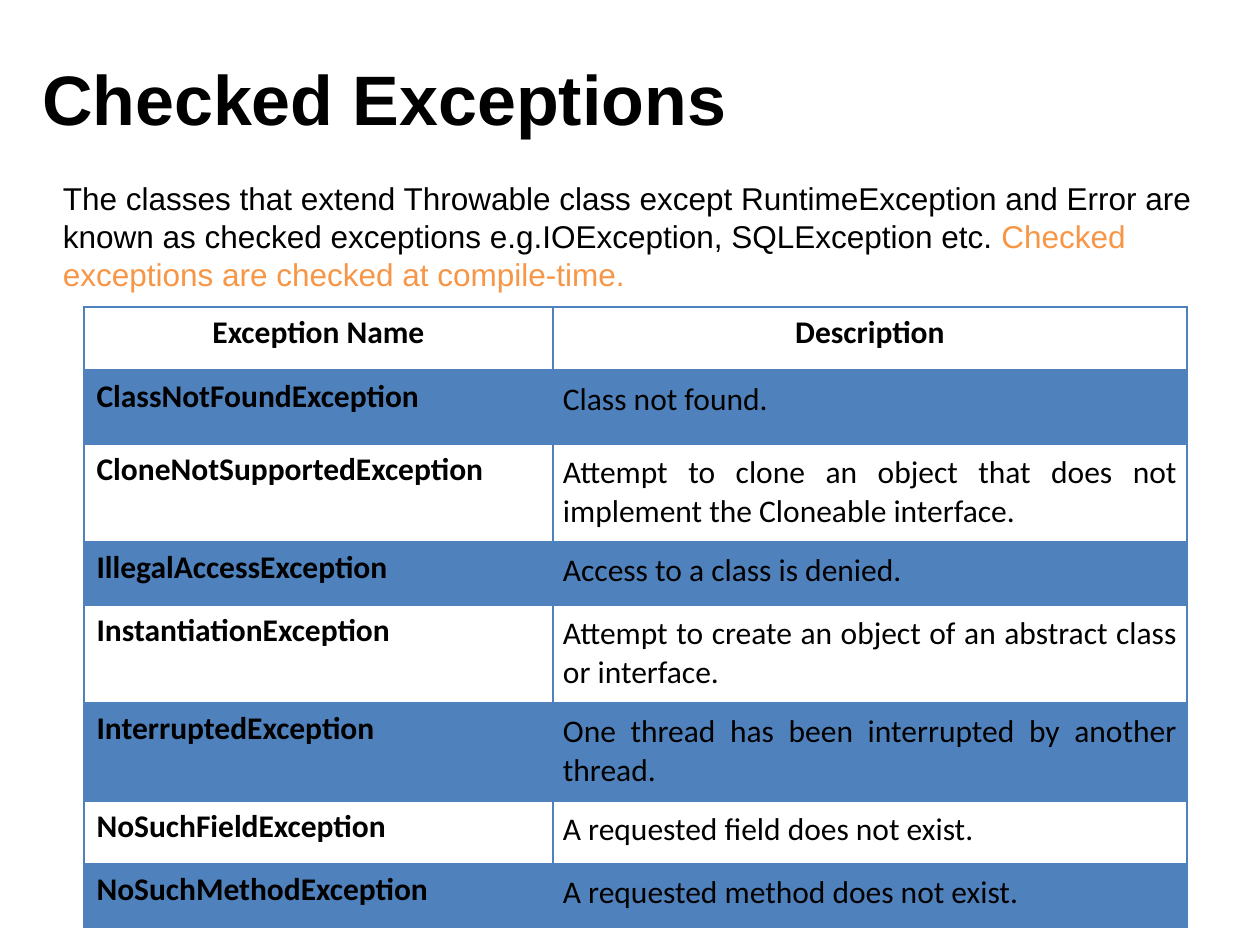
import lxml.etree
import pptx
import pptx.dml.color
import pptx.enum.text
import pptx.oxml.ns
import pptx.util
from dataclasses import dataclass

TITLE = "Checked Exceptions"
INTRO = [
    ("The classes that extend Throwable class except RuntimeException and Error are "
     "known as checked exceptions e.g.IOException, SQLException etc. ", "ink"),
    ("Checked exceptions are checked at compile-time.", "accent"),
]
HEADINGS = ("Exception Name", "Description")
EXCEPTIONS = [
    ("ClassNotFoundException", "Class not found.", 73),
    ("CloneNotSupportedException",
     "Attempt to clone an object that does not implement the Cloneable interface.", 98),
    ("IllegalAccessException", "Access to a class is denied.", 63),
    ("InstantiationException",
     "Attempt to create an object of an abstract class or interface.", 98),
    ("InterruptedException", "One thread has been interrupted by another thread.", 98),
    ("NoSuchFieldException", "A requested field does not exist.", 63),
    ("NoSuchMethodException", "A requested method does not exist.", 63),
]
HEADING_HEIGHT = 64
COLUMN_WIDTHS = (469, 634)
DESCRIPTION_MARGIN = 10


@dataclass(frozen=True)
class Theme:
    ink: str = "000000"
    accent: str = "F79646"
    grid: str = "4F81BD"
    band_alpha: int = 20
    heading_font: str = "Arial"
    table_font: str = "Calibri"
    title_size: int = 40
    text_size: int = 18


THEME = Theme()
ALIGN = pptx.enum.text.PP_ALIGN


def px(length):
    return pptx.util.Emu(round(length * 914400 / 126))


def rgb(colour):
    return pptx.dml.color.RGBColor.from_string(colour)


def style(font, name, size, bold=False):
    font.name, font.size, font.bold = name, pptx.util.Pt(size), bold
    font.color.rgb = rgb(THEME.ink)


def clear_margins(frame):
    frame.margin_left = frame.margin_right = frame.margin_top = frame.margin_bottom = 0
    frame.word_wrap = True


def add_child(parent, tag, **attributes):
    return lxml.etree.SubElement(parent, pptx.oxml.ns.qn(tag), **attributes)


def draw_borders(cell, points):
    properties = cell._tc.get_or_add_tcPr()
    for side, width in points.items():
        line = add_child(properties, "a:ln" + side, w=str(pptx.util.Pt(width)))
        add_child(add_child(line, "a:solidFill"), "a:srgbClr", val=THEME.grid)


def fill_cell(cell, banded):
    if not banded:
        cell.fill.background()
        return
    cell.fill.solid()
    cell.fill.fore_color.rgb = rgb(THEME.grid)
    colour = cell._tc.tcPr.find(".//" + pptx.oxml.ns.qn("a:srgbClr"))
    add_child(colour, "a:alpha", val=str(THEME.band_alpha * 1000))


def add_title(slide):
    title = slide.shapes.title
    title.left, title.top, title.width, title.height = map(px, (42, 55, 1177, 84))
    clear_margins(title.text_frame)
    title.text_frame.text = TITLE
    paragraph = title.text_frame.paragraphs[0]
    paragraph.alignment = ALIGN.LEFT
    style(paragraph.font, THEME.heading_font, THEME.title_size, True)


def add_intro(slide):
    intro = slide.shapes.add_textbox(*map(px, (63, 179, 1148, 115))).text_frame
    clear_margins(intro)
    paragraph = intro.paragraphs[0]
    style(paragraph.font, THEME.heading_font, THEME.text_size)
    for text, colour in INTRO:
        run = paragraph.add_run()
        run.text = text
        run.font.color.rgb = rgb(getattr(THEME, colour))


def add_exceptions(slide):
    rows = [(*HEADINGS, HEADING_HEIGHT), *EXCEPTIONS]
    width, height = sum(COLUMN_WIDTHS), sum(row[2] for row in rows)
    table = slide.shapes.add_table(
        len(rows), len(HEADINGS), *map(px, (84, 307, width, height))).table
    table.first_row = table.horz_banding = False
    for column, column_width in zip(table.columns, COLUMN_WIDTHS):
        column.width = px(column_width)
    for r, (name, description, row_height) in enumerate(rows):
        table.rows[r].height = px(row_height)
        for c, text in enumerate((name, description)):
            cell = table.cell(r, c)
            cell.text = text
            is_heading, is_description = r == 0, r > 0 and c == 1
            paragraph = cell.text_frame.paragraphs[0]
            paragraph.alignment = (ALIGN.CENTER if is_heading else
                                   ALIGN.JUSTIFY if is_description else ALIGN.LEFT)
            style(paragraph.font, THEME.table_font, THEME.text_size, not is_description)
            if is_description:
                cell.margin_left = cell.margin_right = px(DESCRIPTION_MARGIN)
                cell.margin_top = cell.margin_bottom = px(DESCRIPTION_MARGIN)
            draw_borders(cell, {"L": 1, "R": 1, "T": 2 if r == 1 else 1,
                                "B": 2 if is_heading else 1})
            fill_cell(cell, r % 2 == 1)


def main():
    deck = pptx.Presentation()
    deck.slide_width, deck.slide_height = px(1260), px(945)
    slide = deck.slides.add_slide(deck.slide_layouts.get_by_name("Title Only"))
    add_title(slide)
    add_intro(slide)
    add_exceptions(slide)
    deck.save("out.pptx")


if __name__ == "__main__":
    main()
